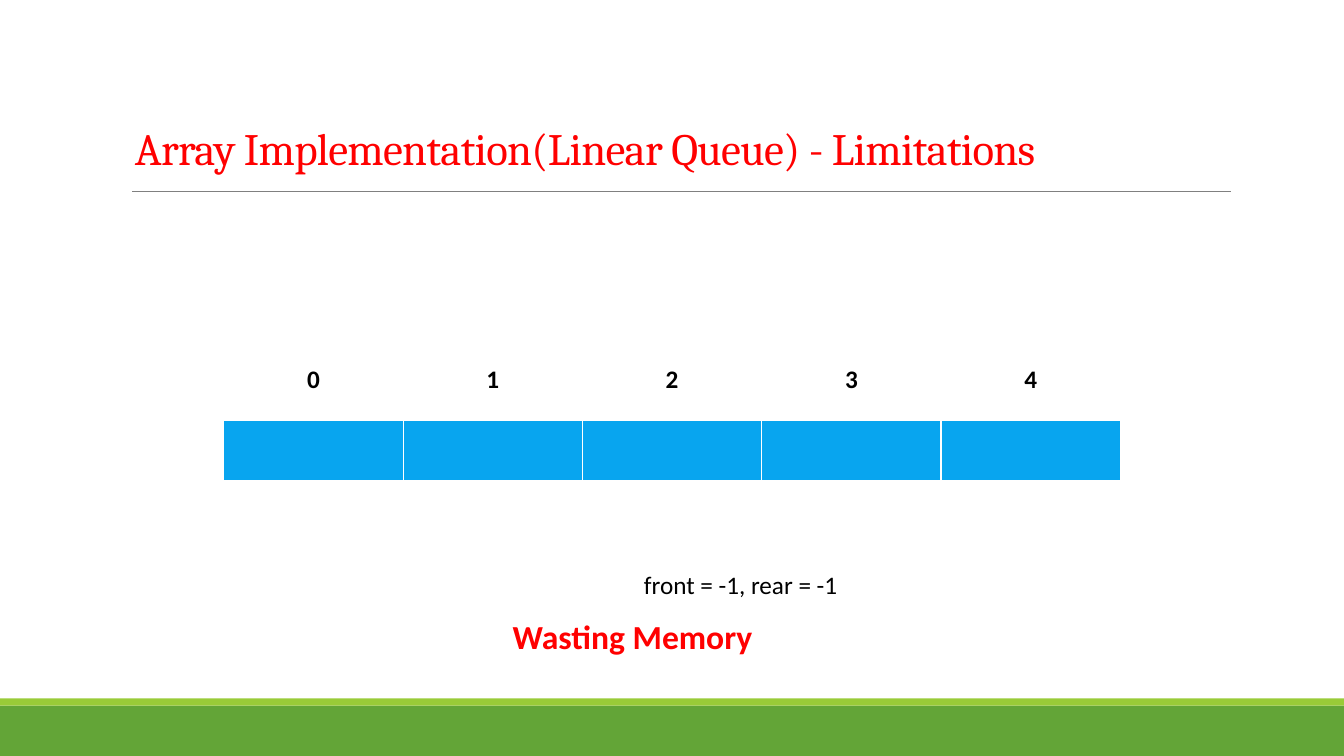
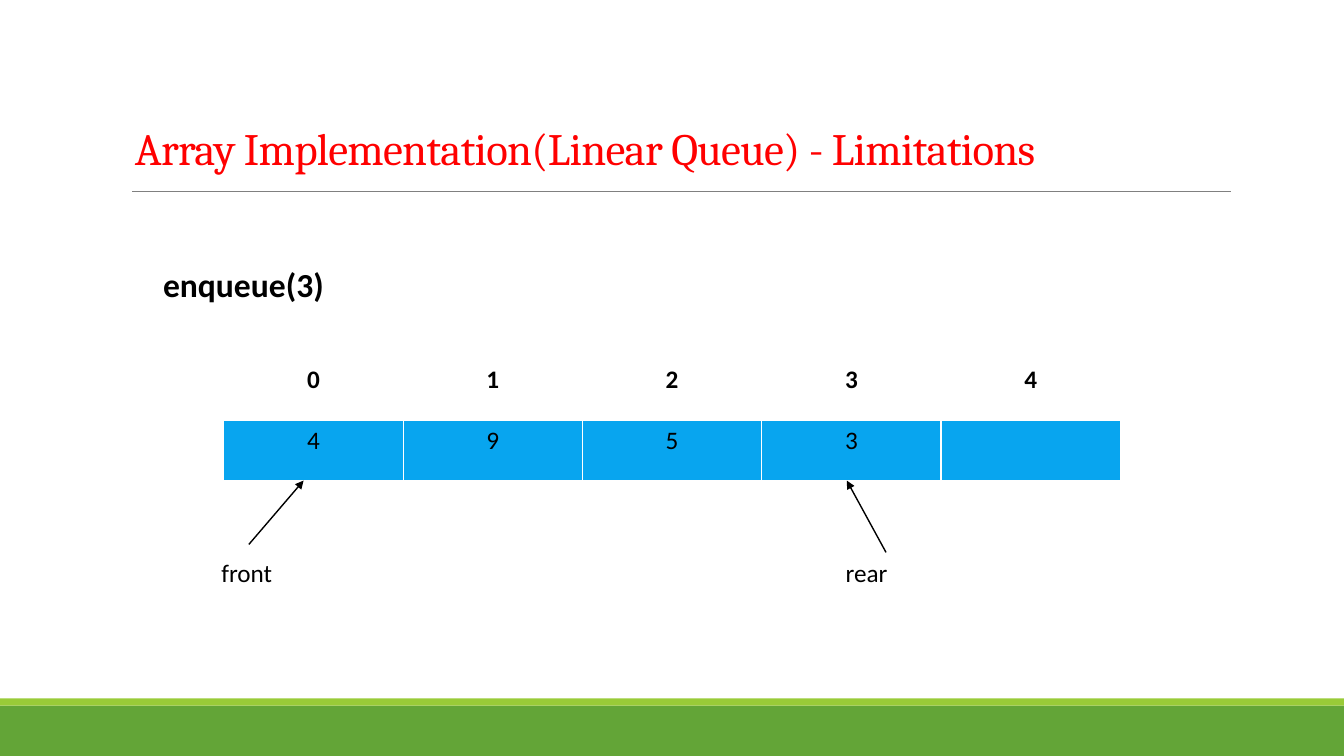
import pptx
import pptx.util
import pptx.dml.color
import pptx.enum.shapes
import pptx.enum.text
import pptx.oxml.ns
import lxml.etree

Cm, Pt = pptx.util.Cm, pptx.util.Pt
RED, BLACK, GRAY, CELL = "FF0000", "000000", "808080", "08A5EF"
WIDE, HIGH = 33.87, 19.05
TITLE = "Array Implementation(Linear Queue) - Limitations"
BANDS = [(17.78, 1.27, "63A537"), (17.6, 0.18, "99CB38")]  # top, height, colour
LEFT, TOP, COL, ROW = 5.64, 9.07, 4.52, 1.52

# Labels: text, left, top, width, size, bold, colour
# Arrows: start x, start y, end x (each ends at the foot of the table)
SLIDES = [
    {
        "queue": ["", "", "", "", ""],
        "labels": [
            ("front = -1, rear = -1", 15.98, 14.22, 5.46, 18, False, BLACK),
            ("Wasting Memory", 12.67, 15.39, 6.63, 24, True, RED),
        ],
        "arrows": [],
    },
    {
        "queue": ["4", "9", "5", "3", ""],
        "labels": [
            ("enqueue(3)", 3.86, 6.53, 4.6, 24, True, BLACK),
            ("front", 5.33, 13.92, 1.8, 18, False, BLACK),
            ("rear", 21.06, 13.92, 2.54, 18, False, BLACK),
        ],
        "arrows": [(6.27, 13.72, 7.65), (22.33, 13.92, 21.34)],
    },
]


def rgb(code):
    return pptx.dml.color.RGBColor.from_string(code)


def style(para, size, color, bold=False, face="Calibri"):
    for run in para.runs:
        font = run.font
        font.name, font.size, font.bold = face, Pt(size), bold
        font.color.rgb = rgb(color)


def add_line(slide, x1, y1, x2, y2, color, width, arrow=False):
    kind = pptx.enum.shapes.MSO_CONNECTOR.STRAIGHT
    line = slide.shapes.add_connector(kind, Cm(x1), Cm(y1), Cm(x2), Cm(y2))
    line.line.color.rgb = rgb(color)
    line.line.width = Pt(width)
    qn = pptx.oxml.ns.qn
    if arrow:
        ln = line.line._get_or_add_ln()
        lxml.etree.SubElement(ln, qn("a:tailEnd"), type="triangle")
    lxml.etree.SubElement(line._element.spPr, qn("a:effectLst"))


def add_frame(slide):
    """Draw the bands, the rule and the title that all slides share."""
    for top, high, color in BANDS:
        band = slide.shapes.add_shape(
            pptx.enum.shapes.MSO_SHAPE.RECTANGLE, 0, Cm(top), Cm(WIDE), Cm(high))
        band.shadow.inherit = False
        band.fill.solid()
        band.fill.fore_color.rgb = rgb(color)
        band.line.fill.background()
    add_line(slide, 3.33, 4.83, 31.01, 4.83, GRAY, 0.5)

    frame = slide.shapes.add_textbox(Cm(3.15), Cm(0.48), Cm(29.1), Cm(4.04)).text_frame
    frame.word_wrap = True
    frame.vertical_anchor = pptx.enum.text.MSO_ANCHOR.BOTTOM
    frame.text = TITLE
    para = frame.paragraphs[0]
    para.line_spacing = 0.85
    style(para, 32, RED, face="Cambria")
    para.runs[0].font._element.set("spc", "-50")


def add_queue(slide, queue):
    """Draw the array: a row of indexes above a row of values."""
    count = len(queue)
    table = slide.shapes.add_table(
        2, count, Cm(LEFT), Cm(TOP), Cm(COL * count), Cm(ROW * 2)).table
    for row in table.rows:
        row.height = Cm(ROW)
    for col, value in enumerate(queue):
        table.columns[col].width = Cm(COL)
        head, body = table.cell(0, col), table.cell(1, col)
        head.fill.background()
        body.fill.solid()
        body.fill.fore_color.rgb = rgb(CELL)
        for cell, text, bold in [(head, str(col), True), (body, value, False)]:
            cell.text_frame.text = text
            para = cell.text_frame.paragraphs[0]
            para.alignment = pptx.enum.text.PP_ALIGN.CENTER
            style(para, 18, BLACK, bold)


def add_label(slide, text, left, top, width, size, bold, color):
    high = 1.02 if size == 18 else 1.27
    frame = slide.shapes.add_textbox(Cm(left), Cm(top), Cm(width), Cm(high)).text_frame
    frame.word_wrap = False
    frame.auto_size = pptx.enum.text.MSO_AUTO_SIZE.SHAPE_TO_FIT_TEXT
    frame.text = text
    style(frame.paragraphs[0], size, color, bold)


def main():
    deck = pptx.Presentation()
    deck.slide_width, deck.slide_height = Cm(WIDE), Cm(HIGH)
    for data in SLIDES:
        slide = deck.slides.add_slide(deck.slide_layouts[6])
        add_frame(slide)
        add_queue(slide, data["queue"])
        for label in data["labels"]:
            add_label(slide, *label)
        for x1, y1, x2 in data["arrows"]:
            add_line(slide, x1, y1, x2, TOP + 2 * ROW, BLACK, 1, arrow=True)
    deck.save("out.pptx")


if __name__ == "__main__":
    main()
